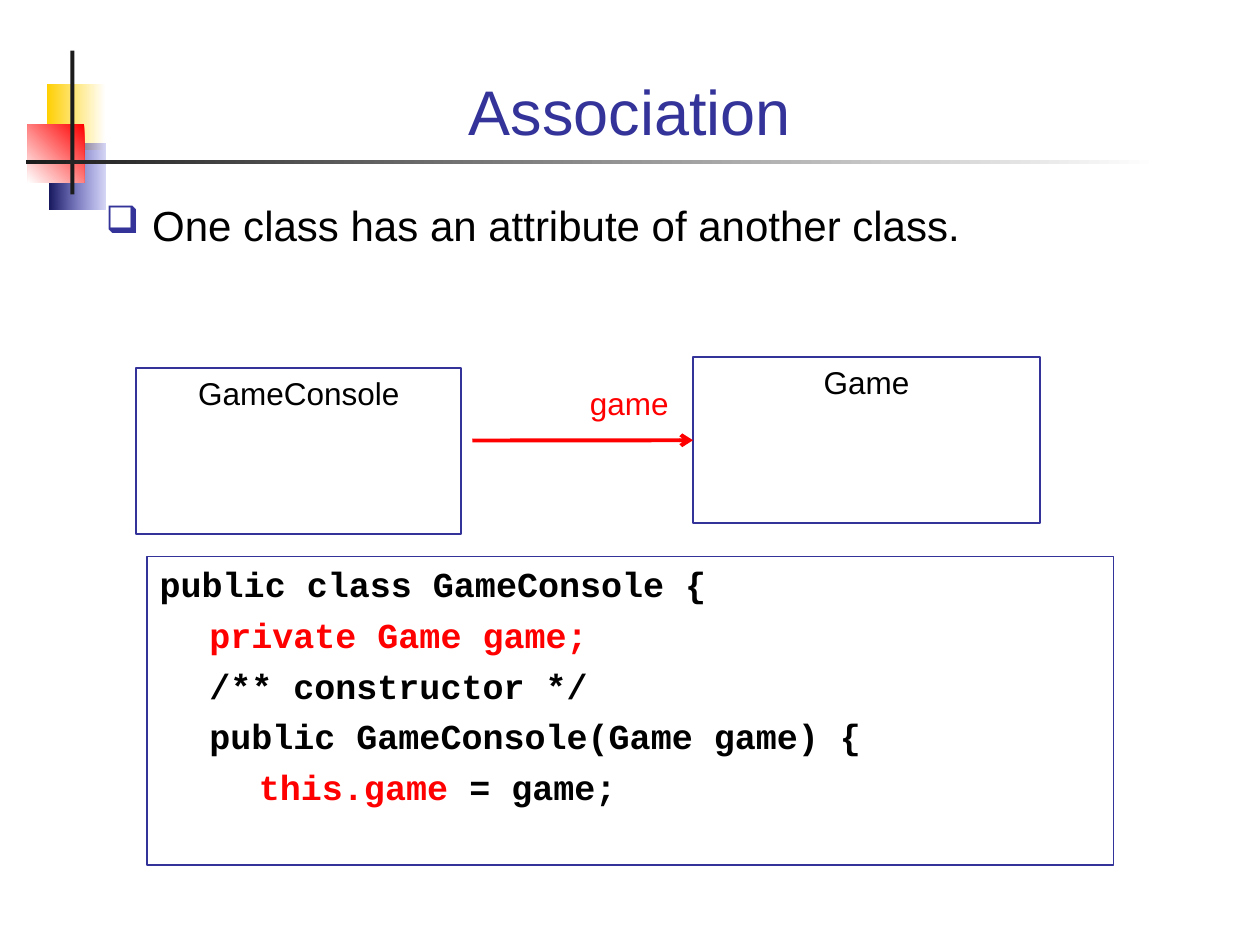
import pptx
import pptx.dml.color
import pptx.enum.shapes
import pptx.enum.text
import pptx.oxml.ns
import pptx.util
from lxml import etree
from pptx.util import Cm

NAVY, BLACK, RED = "333399", "000000", "FF0000"
WHITE, CHARCOAL = "FFFFFF", "1C1C1C"
LEFT = pptx.enum.text.PP_ALIGN.LEFT
CENTER = pptx.enum.text.PP_ALIGN.CENTER
TOP = pptx.enum.text.MSO_ANCHOR.TOP
BOTTOM = pptx.enum.text.MSO_ANCHOR.BOTTOM
RECTANGLE = pptx.enum.shapes.MSO_SHAPE.RECTANGLE


def color(value):
    return pptx.dml.color.RGBColor.from_string(value)


def add_element(parent, tag, **attributes):
    element = etree.SubElement(parent, pptx.oxml.ns.qn(tag))
    for name, value in attributes.items():
        element.set(name, str(value))
    return element


def write_text(shape, paragraphs, size=18, font="Arial", bold=False,
               align=LEFT, anchor=TOP, space=0, tabs=()):
    frame = shape.text_frame
    frame.word_wrap = True
    frame.vertical_anchor = anchor
    for index, pieces in enumerate(paragraphs):
        paragraph = frame.add_paragraph() if index else frame.paragraphs[0]
        paragraph.alignment = align
        if index:
            paragraph.space_before = pptx.util.Pt(space)
        if tabs:
            tab_list = add_element(paragraph._p.get_or_add_pPr(), "a:tabLst")
            for position in tabs:
                add_element(tab_list, "a:tab", pos=int(position), algn="l")
        for text, text_color in pieces:
            run = paragraph.add_run()
            run.text = text
            run.font.name = font
            run.font.size = pptx.util.Pt(size)
            run.font.bold = bold
            run.font.color.rgb = color(text_color)


def add_text(slide, box, text, text_color=BLACK, **text_format):
    shape = slide.shapes.add_textbox(*map(Cm, box))
    write_text(shape, [[(text, text_color)]], **text_format)
    return shape


def add_bullet(paragraph, character, bullet_color, percent, indent):
    properties = paragraph._p.get_or_add_pPr()
    properties.set("marL", str(int(indent)))
    properties.set("indent", str(-int(indent)))
    fill = add_element(properties, "a:buClr")
    add_element(fill, "a:srgbClr", val=bullet_color)
    add_element(properties, "a:buSzPct", val=percent * 1000)
    add_element(properties, "a:buChar", char=character)


def add_rectangle(slide, box):
    shape = slide.shapes.add_shape(RECTANGLE, *map(Cm, box))
    shape.shadow.inherit = False
    return shape


def add_solid(slide, box, fill_color):
    shape = add_rectangle(slide, box)
    shape.fill.solid()
    shape.fill.fore_color.rgb = color(fill_color)
    shape.line.fill.background()


def add_gradient(slide, box, start, end, angle=180, start_opacity=100):
    shape = add_rectangle(slide, box)
    shape.line.fill.background()
    shape.fill.gradient()
    shape.fill.gradient_angle = angle
    stops = shape.fill.gradient_stops
    for stop, position, value in zip(stops, (0, 1), (start, end)):
        stop.position = position
        stop.color.rgb = color(value)
    if start_opacity < 100:
        first_color = shape._element.spPr.find(".//" + pptx.oxml.ns.qn("a:srgbClr"))
        add_element(first_color, "a:alpha", val=start_opacity * 1000)


def add_frame(slide, box, paragraphs, **text_format):
    shape = add_rectangle(slide, box)
    shape.fill.background()
    shape.line.color.rgb = color(NAVY)
    shape.line.width = pptx.util.Pt(1)
    write_text(shape, paragraphs, **text_format)
    return shape


def add_arrow(slide, start_x, start_y, target):
    connector = slide.shapes.add_connector(
        pptx.enum.shapes.MSO_CONNECTOR.STRAIGHT,
        Cm(start_x), Cm(start_y), target.left, Cm(start_y))
    connector.end_connect(target, 1)
    connector.line.color.rgb = color(RED)
    connector.line.width = pptx.util.Pt(2.25)
    add_element(connector.line._get_or_add_ln(), "a:tailEnd", type="arrow")
    add_element(connector._element.spPr, "a:effectLst")


def add_decoration(slide):
    add_gradient(slide, (0.94, 1.7, 1.19, 1.32), WHITE, "FFCF01")
    add_gradient(slide, (0.99, 2.9, 1.14, 1.32), "3333CC", "17175E", start_opacity=20)
    add_gradient(slide, (0.56, 2.51, 1.14, 1.17), RED, WHITE, angle=225)
    add_solid(slide, (1.42, 1.02, 0.08, 2.9), CHARCOAL)
    add_gradient(slide, (0.53, 3.23, 22.83, 0.08), WHITE, CHARCOAL)


def main():
    presentation = pptx.Presentation()
    presentation.slide_width = Cm(25.4)
    presentation.slide_height = Cm(19.05)
    slide = presentation.slides.add_slide(presentation.slide_layouts[6])

    add_decoration(slide)
    add_text(slide, (1.7, 0.71, 22, 2.41), "Association", NAVY,
             size=36, align=CENTER, anchor=BOTTOM)
    body = add_text(slide, (1.88, 3.89, 22, 3.53),
                    "One class has an attribute of another class.", size=24)
    add_bullet(body.text_frame.paragraphs[0], "❑", NAVY, 90, Cm(0.94))

    add_frame(slide, (2.75, 7.42, 6.55, 3.35), [[("GameConsole", BLACK)]], align=CENTER)
    game = add_frame(slide, (13.97, 7.2, 7, 3.35), [[("Game", BLACK)]], align=CENTER)
    add_arrow(slide, 9.52, 8.88, game)

    code = [
        [("public class GameConsole {", BLACK)],
        [("\tprivate Game game;", RED)],
        [("\t/** constructor */", BLACK)],
        [("\tpublic GameConsole(Game game) {", BLACK)],
        [("\t\tthis.game", RED), (" = game;", BLACK)],
    ]
    add_frame(slide, (2.97, 11.22, 19.48, 6.22), code, size=20,
              font="Courier New", bold=True, space=5, tabs=(Cm(1), Cm(2)))
    add_text(slide, (11.64, 7.62, 2.12, 1.02), "game", RED)

    presentation.save("out.pptx")


if __name__ == "__main__":
    main()
